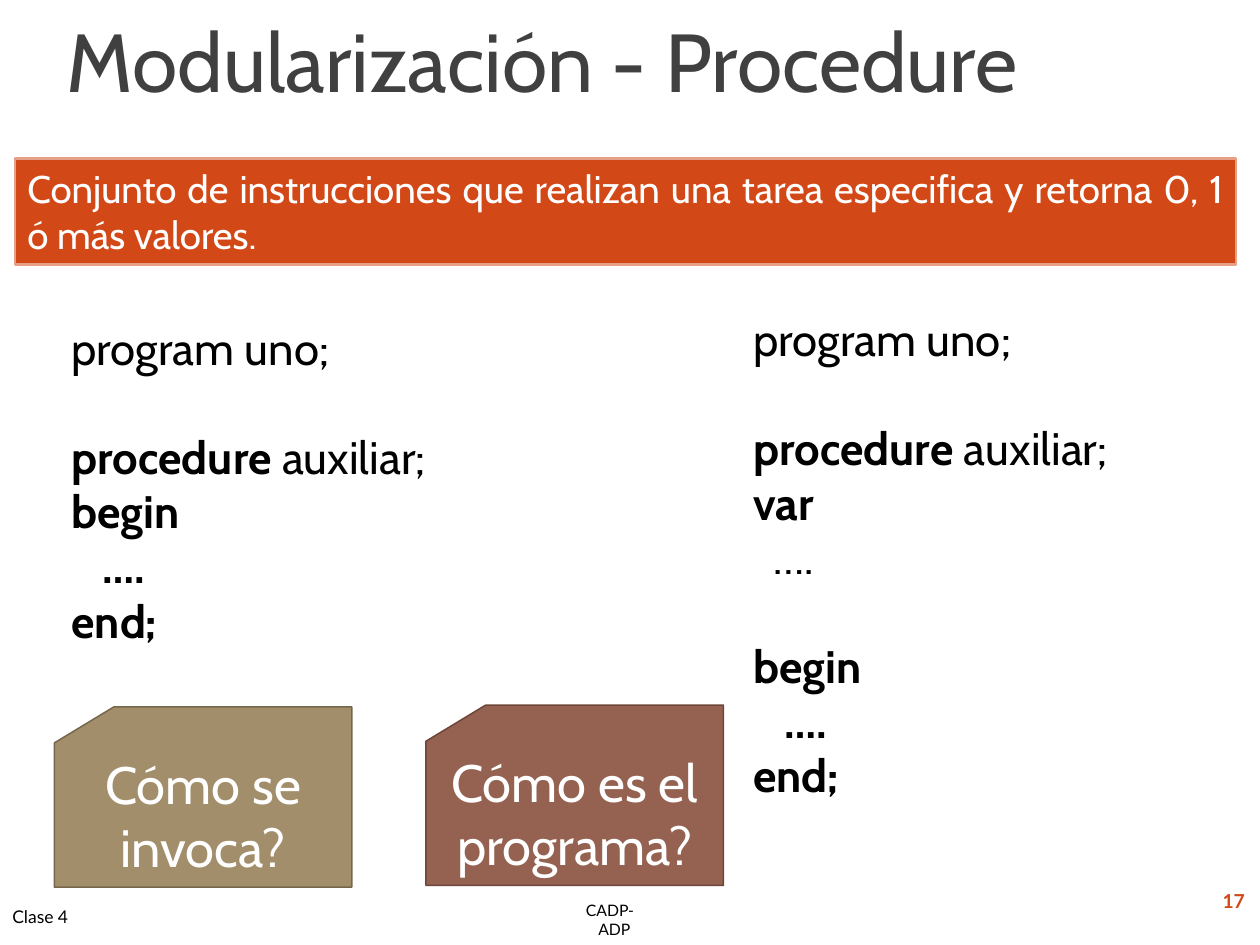
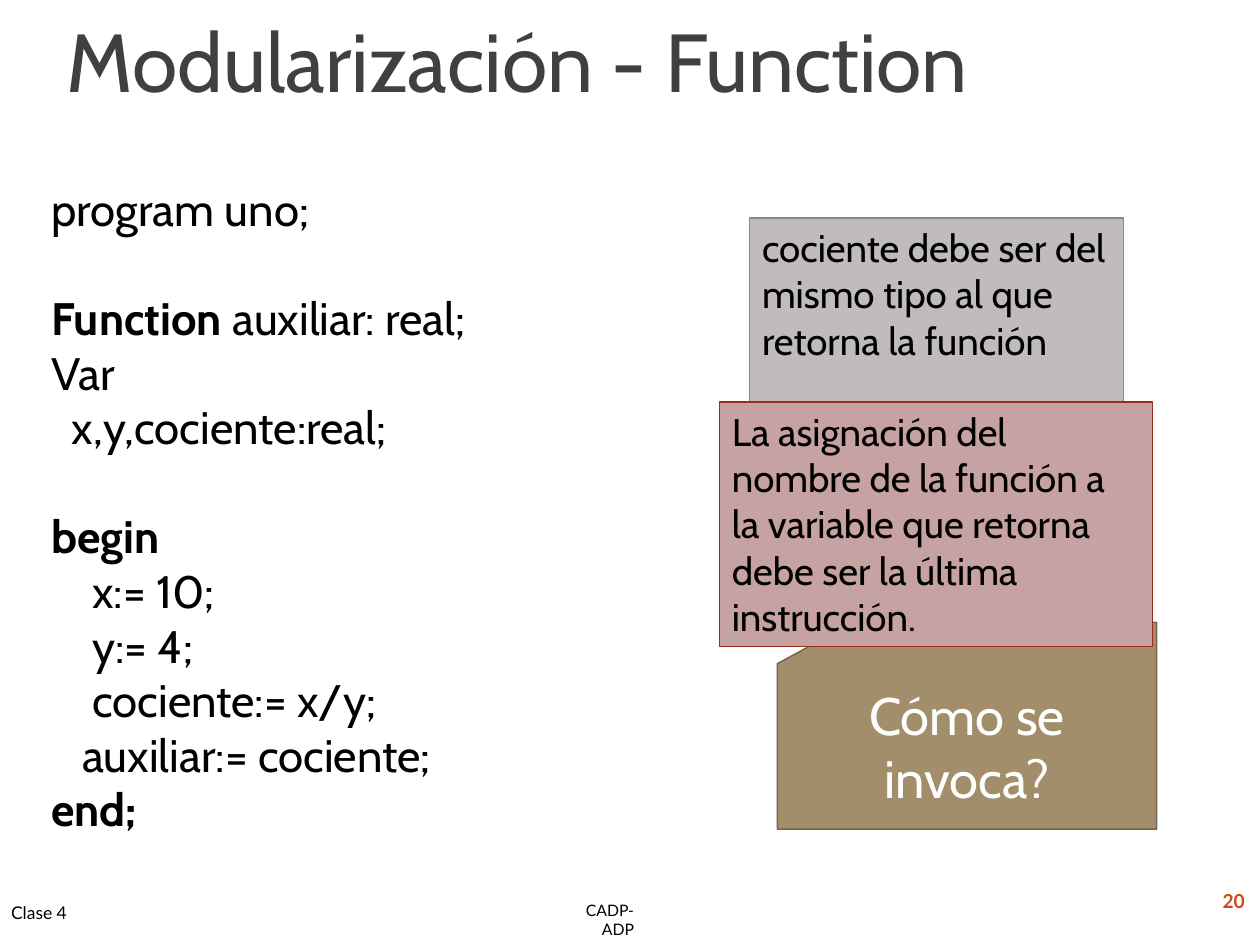
import pptx
import pptx.util
import pptx.dml.color
import pptx.enum.shapes
import pptx.enum.text

Pt = pptx.util.Pt
ALIGN = pptx.enum.text.PP_ALIGN
ANCHOR = pptx.enum.text.MSO_ANCHOR
SHAPE = pptx.enum.shapes.MSO_SHAPE

BLACK, WHITE, ORANGE, TITLE_GREY = "000000", "FFFFFF", "D34817", "404040"
SAND, SAND_EDGE = "A28E6A", "76674C"
BROWN, BROWN_EDGE = "956251", "6C4639"
CODE_SIZE = 26
CODE_PITCH = 31.1

SHORT_PROCEDURE = [
    ("", "program uno;"), None,
    ("procedure", " auxiliar;"), ("begin", ""), ("   ….", ""), ("end;", ""),
]
LONG_PROCEDURE = [
    ("", "program uno;"), None,
    ("procedure", " auxiliar;"), ("var", ""), ("", "  …."), None,
    ("begin", ""), ("   ….", ""), ("end;", ""),
]
FUNCTION = [
    ("", "program uno;"), None,
    ("Function ", "auxiliar: real;"), ("", "Var"), ("", "  x,y,cociente:real;"), None,
    ("begin", ""), ("", "    x:= 10;"), ("", "    y:= 4;"), ("", "    cociente:= x/y;"),
    ("", "   auxiliar:= cociente;"), ("end;", ""),
]


def rgb(value):
    """Turn a hex string into a colour."""
    return pptx.dml.color.RGBColor.from_string(value)


def add_span(para, text, size=22, font="Cabin", color=BLACK, bold=False):
    """Append formatted text to a paragraph."""
    span = para.add_run()
    span.text = text
    span.font.size = Pt(size)
    span.font.name = font
    span.font.bold = bold
    span.font.color.rgb = rgb(color)


def prepare_frame(shape, anchor):
    """Give a shape its wrapping, insets and vertical anchor."""
    frame = shape.text_frame
    frame.word_wrap = True
    frame.vertical_anchor = anchor
    frame.margin_left = frame.margin_right = Pt(7.2)
    frame.margin_top = frame.margin_bottom = Pt(3.6)
    return frame


def write(shape, text, align=ALIGN.LEFT, anchor=ANCHOR.MIDDLE, spacing=None, **style):
    """Put one formatted paragraph into a shape."""
    para = prepare_frame(shape, anchor).paragraphs[0]
    para.alignment = align
    para.line_spacing = spacing
    add_span(para, text, **style)


def add_text(page, box, text, **style):
    """Add a text box with one paragraph."""
    write(page.shapes.add_textbox(*map(Pt, box)), text, **style)


def add_panel(page, box, text, fill, edge, kind=SHAPE.RECTANGLE, weight=0.75, **style):
    """Add a filled and outlined shape with text."""
    panel = page.shapes.add_shape(kind, *map(Pt, box))
    panel.shadow.inherit = False
    panel.fill.solid()
    panel.fill.fore_color.rgb = rgb(fill)
    panel.line.color.rgb = rgb(edge)
    panel.line.width = Pt(weight)
    write(panel, text, **style)


def add_question(page, box, text, fill=SAND, edge=SAND_EDGE):
    """Add a punched card that asks a question."""
    add_panel(page, box, text, fill, edge, kind=SHAPE.FLOWCHART_CARD, weight=0.85,
              align=ALIGN.CENTER, size=30, color=WHITE)


def add_note(page, box, text, fill, edge, **style):
    """Add a rectangle whose text starts at the top."""
    add_panel(page, box, text, fill, edge, anchor=ANCHOR.TOP, **style)


def add_code(page, box, lines):
    """Add code given as bold and plain parts, where None leaves a gap."""
    frame = prepare_frame(page.shapes.add_textbox(*map(Pt, box)), ANCHOR.TOP)
    para = frame.paragraphs[0]
    for previous, line in zip([None] + lines, lines):
        if line is None:
            continue
        if line is not lines[0]:
            para = frame.add_paragraph()
            para.space_before = Pt(CODE_PITCH if previous is None else 0)
        for text, bold in zip(line, (True, False)):
            if text:
                add_span(para, text, size=CODE_SIZE, bold=bold)


def add_page(deck, title, number, course, class_at):
    """Add a blank page with title and footers."""
    page = deck.slides.add_slide(deck.slide_layouts[6])
    add_text(page, (31, 10.8, 646.6, 60.5), title, anchor=ANCHOR.TOP,
             spacing=0.85, size=47, color=TITLE_GREY)
    add_text(page, (*class_at, 60.5, 29.5), "Clase 4", size=10, font="Lato")
    add_text(page, (308.9, 511.2, 60.5, 28.8), course, align=ALIGN.RIGHT,
             size=9, font="Lato")
    add_text(page, (627.8, 500.4, 90.7, 28.8), number, align=ALIGN.RIGHT,
             size=11, font="Lato", color=ORANGE, bold=True)
    return page


def build_procedure(deck):
    """Build the page about procedures."""
    page = add_page(deck, "Modularización - Procedure", "17", "CADP- ADP ", (0, 509))
    add_code(page, (33.8, 179.3, 252, 194.4), SHORT_PROCEDURE)
    add_code(page, (423.4, 174.2, 252, 288), LONG_PROCEDURE)
    add_note(page, (8.6, 90.7, 697.7, 60.5),
             "Conjunto de instrucciones que realizan una tarea especifica "
             "y retorna 0, 1 ó más valores.",
             ORANGE, "E6A088", weight=1.36, align=ALIGN.JUSTIFY, color=WHITE)
    add_question(page, (31, 404, 170, 103), "Cómo se invoca?")
    add_question(page, (243.4, 403, 170, 103), "Cómo es el programa?", BROWN, BROWN_EDGE)


def build_function(deck):
    """Build the page about functions."""
    page = add_page(deck, "Modularización - Function", "20", "CADP- ADP", (-0.7, 506.9))
    add_code(page, (22.3, 100.1, 293, 381.6), FUNCTION)
    add_question(page, (444.2, 355.7, 216.7, 118.1), "Cómo se invoca?")
    add_note(page, (428.4, 124.6, 213.8, 113),
             "cociente debe ser del mismo tipo al que retorna la función",
             "C1BCBC", "918485")
    add_note(page, (411.1, 229.7, 247.7, 139.7),
             "La asignación del nombre de la función a la variable que retorna "
             "debe ser la última instrucción.",
             "C6A3A2", "9B2D1F")


def main():
    """Build and save the deck."""
    deck = pptx.Presentation()
    deck.slide_width, deck.slide_height = Pt(720), Pt(540)
    build_procedure(deck)
    build_function(deck)
    deck.save("out.pptx")


if __name__ == "__main__":
    main()
